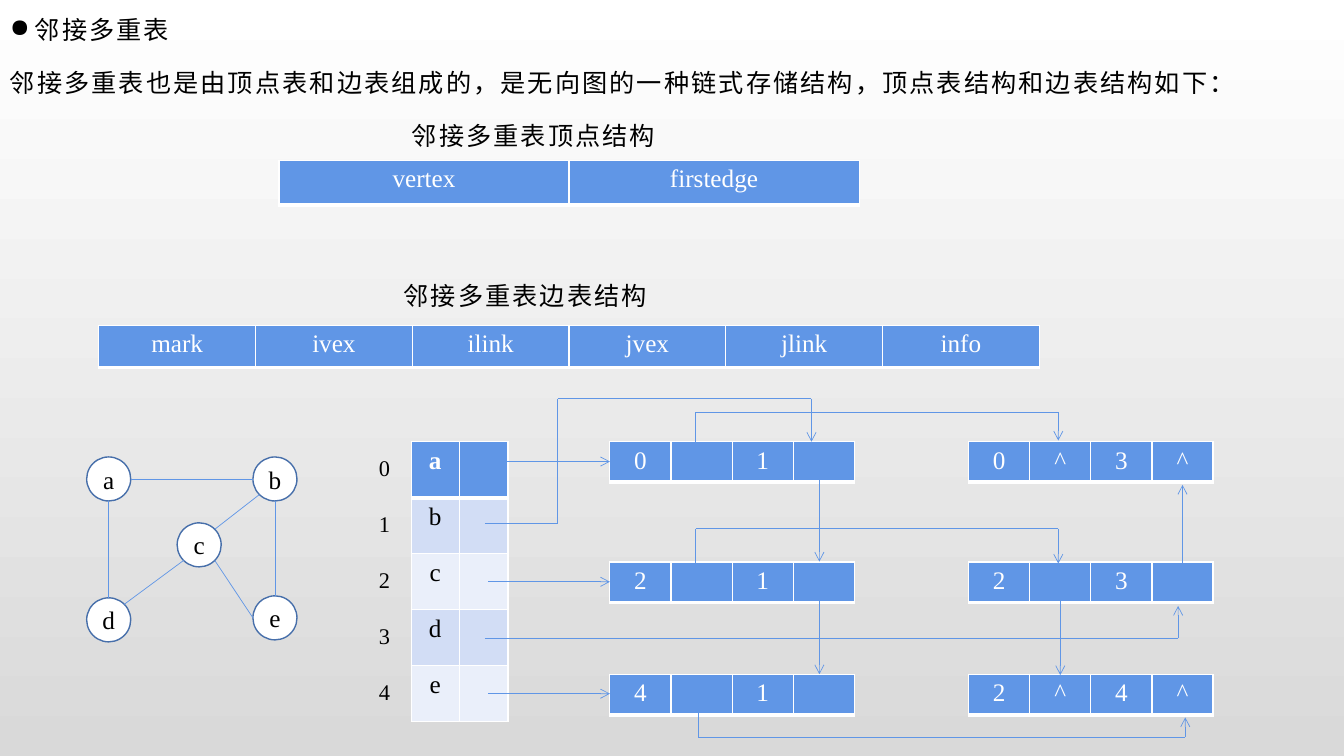
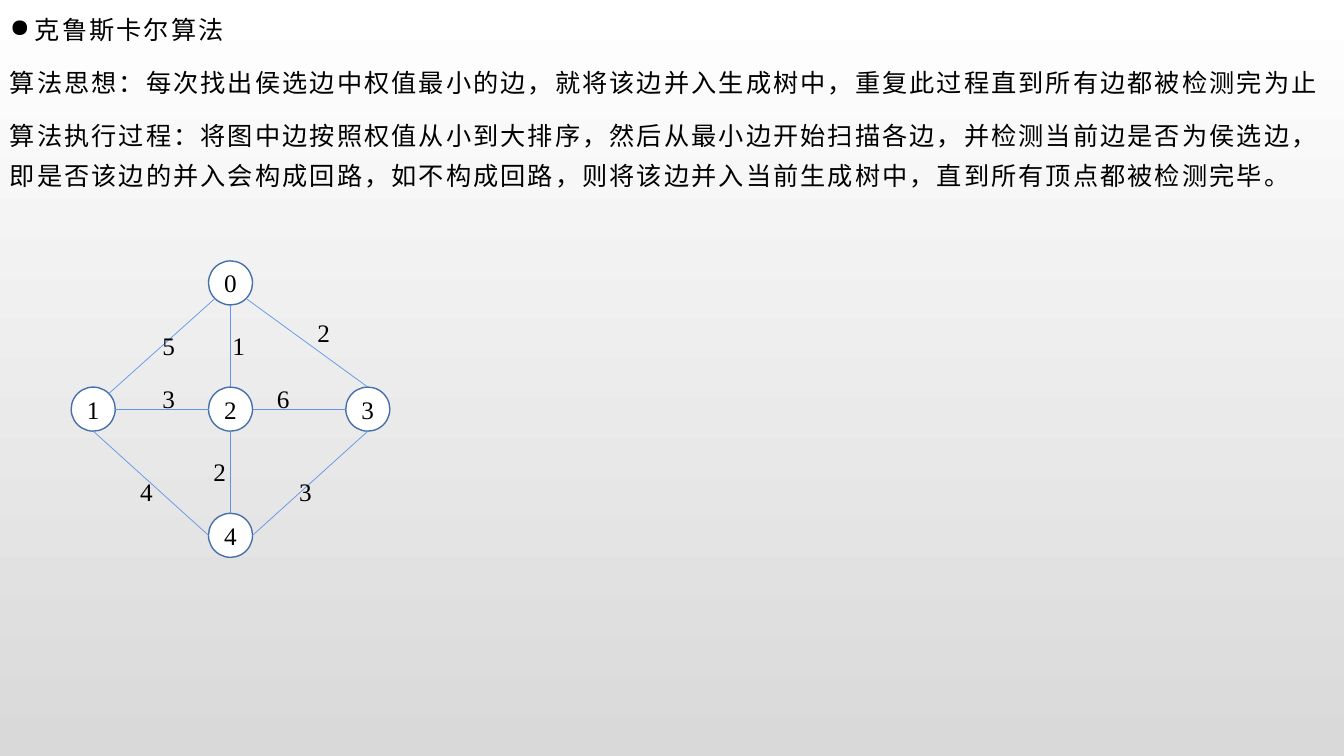
from math import sqrt
from lxml.etree import SubElement
from pptx import Presentation
from pptx.dml.color import RGBColor
from pptx.enum.shapes import MSO_CONNECTOR, MSO_SHAPE
from pptx.enum.text import MSO_ANCHOR, PP_ALIGN
from pptx.oxml.ns import qn
from pptx.util import Cm, Pt

FONT = "Times New Roman"
BLACK, WHITE = "000000", "FFFFFF"
BLUE, NODE_LINE = "6096E6", "476FAA"
BAND_DARK, BAND_LIGHT = "D2DDF5", "EAEFFA"
BACKDROP = (WHITE, "D9D9D9")
SLIDE_W, SLIDE_H = 33.87, 19.05
NODE_SIZE = 1.11

MULTILIST_TEXT = [
    "邻接多重表",
    "邻接多重表也是由顶点表和边表组成的，是无向图的一种链式存储结构，顶点表结构和边表结构如下：",
]
CAPTIONS = [
    ("邻接多重表顶点结构", 10.13, 2.69),
    ("邻接多重表边表结构", 9.92, 6.72),
]
STRUCTURES = [
    (["vertex", "firstedge"], 7.03, 4.04, 7.31, 1.13),
    (["mark", "ivex", "ilink", "jvex", "jlink", "info"], 2.49, 8.2, 3.95, 1.06),
]
LETTER_NODES = {
    "a": (2.74, 12.07), "b": (6.93, 12.07), "c": (5.02, 13.73),
    "d": (2.74, 15.62), "e": (6.93, 15.57),
}
LETTER_EDGES = [
    ("a", "R", "b", "L"), ("a", "B", "d", "T"), ("b", "BL", "c", "TR"),
    ("c", "BL", "d", "TR"), ("b", "B", "e", "T"), ("c", "BR", "e", "L"),
]
VERTEX_LEFT, VERTEX_TOP, VERTEX_ROW = 10.36, 11.13, 1.41
EDGE_LEFTS, EDGE_TOPS = (15.37, 24.41), (11.13, 14.16, 16.99)
EDGE_RECORDS = [
    (["0", "", "1", ""], ["0", "^", "3", "^"]),
    (["2", "", "1", ""], ["2", "", "3", ""]),
    (["4", "", "1", ""], ["2", "^", "4", "^"]),
]
LINK_ROUTES = [
    [(12.3, 11.63), (15.37, 11.63)],
    [(12.3, 14.66), (15.37, 14.66)],
    [(12.3, 17.48), (15.37, 17.48)],
    [(12.22, 13.2), (14.05, 13.2), (14.05, 10.05), (20.45, 10.05), (20.45, 11.13)],
    [(17.53, 11.43), (17.53, 10.39), (26.67, 10.39), (26.67, 11.1)],
    [(20.65, 11.71), (20.65, 14.15)],
    [(17.53, 14.6), (17.53, 13.32), (26.67, 13.32), (26.67, 14.2)],
    [(29.8, 14.66), (29.8, 12.22)],
    [(12.22, 16.08), (29.69, 16.08), (29.69, 15.27)],
    [(20.65, 14.71), (20.65, 16.99)],
    [(26.72, 14.81), (26.72, 17.01)],
    [(17.6, 17.63), (17.6, 18.57), (29.87, 18.57), (29.87, 18.08)],
]

KRUSKAL_TEXT = [
    "克鲁斯卡尔算法",
    "算法思想：每次找出侯选边中权值最小的边，就将该边并入生成树中，重复此过程直到所有边都被检测完为止",
    "算法执行过程：将图中边按照权值从小到大排序，然后从最小边开始扫描各边，并检测当前边是否为侯选边，"
    "即是否该边的并入会构成回路，如不构成回路，则将该边并入当前生成树中，直到所有顶点都被检测完毕。",
]
NUMBER_GRID = {"0": (1, 0), "1": (0, 1), "2": (1, 1), "3": (2, 1), "4": (1, 2)}
NUMBER_NODES = {
    name: (2.35 + 3.46 * col, 7.13 + 3.18 * row)
    for name, (col, row) in NUMBER_GRID.items()
}
NUMBER_EDGES = [
    ("0", "BL", "1", "TR"), ("0", "B", "2", "T"), ("0", "BR", "3", "T"),
    ("2", "L", "1", "R"), ("3", "L", "2", "R"), ("4", "L", "1", "B"),
    ("4", "T", "2", "B"), ("3", "B", "4", "R"),
]
WEIGHTS = [
    ("3", 3.84, 9.53), ("1", 5.61, 8.2), ("2", 7.75, 7.87), ("5", 3.84, 8.2),
    ("6", 6.73, 9.53), ("4", 3.28, 11.89), ("2", 5.13, 11.38), ("3", 7.29, 11.89),
]


def rgb(color):
    return RGBColor.from_string(color)


def add_run(paragraph, text, size=18, color=BLACK, bold=False):
    run = paragraph.add_run()
    run.text = text
    run.font.name, run.font.size, run.font.bold = FONT, Pt(size), bold
    run.font.color.rgb = rgb(color)
    return run


def add_textbox(slide, left, top, width, height):
    frame = slide.shapes.add_textbox(Cm(left), Cm(top), Cm(width), Cm(height)).text_frame
    frame.word_wrap = True
    return frame


def add_prose(slide, texts, left, top, width, height, bullet=False):
    frame = add_textbox(slide, left, top, width, height)
    for index, text in enumerate(texts):
        paragraph = frame.add_paragraph() if index else frame.paragraphs[0]
        if bullet and index == 0:
            properties = paragraph._p.get_or_add_pPr()
            properties.set("marL", str(Cm(0.63)))
            properties.set("indent", str(-Cm(0.63)))
            SubElement(properties, qn("a:buChar")).set("char", "●")
        paragraph.line_spacing = 1.3
        paragraph.space_after = Pt(10)
        letters = add_run(paragraph, text)._r.get_or_add_rPr()
        letters.set("lang", "zh-CN")
        letters.set("spc", "150")


def add_label(slide, text, left, top, width, height, size=18):
    add_run(add_textbox(slide, left, top, width, height).paragraphs[0], text, size)


def add_line(slide, start, end, arrow=False):
    line = slide.shapes.add_connector(
        MSO_CONNECTOR.STRAIGHT, *(Cm(value) for value in (*start, *end)))
    line.line.color.rgb = rgb(BLUE)
    line.line.width = Pt(0.5)
    if arrow:
        SubElement(line.line._get_or_add_ln(), qn("a:tailEnd")).set("type", "arrow")
    SubElement(line._element.spPr, qn("a:effectLst"))


def add_route(slide, points):
    for index in range(1, len(points)):
        add_line(slide, points[index - 1], points[index], index == len(points) - 1)


def node_site(center, side):
    reach = NODE_SIZE / 2 / sqrt(len(side))
    across = ("R" in side) - ("L" in side)
    down = ("B" in side) - ("T" in side)
    return center[0] + reach * across, center[1] + reach * down


def add_graph(slide, nodes, edges):
    for name, (x, y) in nodes.items():
        node = slide.shapes.add_shape(
            MSO_SHAPE.OVAL, Cm(x - NODE_SIZE / 2), Cm(y - NODE_SIZE / 2),
            Cm(NODE_SIZE), Cm(NODE_SIZE))
        node.shadow.inherit = False
        node.fill.solid()
        node.fill.fore_color.rgb = rgb(WHITE)
        node.line.color.rgb = rgb(NODE_LINE)
        node.line.width = Pt(1)
        frame = node.text_frame
        frame.margin_left = frame.margin_right = 0
        frame.margin_top = frame.margin_bottom = 0
        frame.vertical_anchor = MSO_ANCHOR.MIDDLE
        frame.paragraphs[0].alignment = PP_ALIGN.CENTER
        add_run(frame.paragraphs[0], name)
    for first, first_side, second, second_side in edges:
        add_line(slide, node_site(nodes[first], first_side),
                 node_site(nodes[second], second_side))


def style_cell(cell, text, fill, color, bottom, bold):
    properties = cell._tc.get_or_add_tcPr()
    for side, width in (("L", 1), ("R", 1), ("T", 1), ("B", bottom)):
        border = SubElement(properties, qn(f"a:ln{side}"))
        border.set("w", str(Pt(width)))
        SubElement(SubElement(border, qn("a:solidFill")), qn("a:srgbClr")).set("val", WHITE)
    cell.fill.solid()
    cell.fill.fore_color.rgb = rgb(fill)
    if text:
        paragraph = cell.text_frame.paragraphs[0]
        paragraph.alignment = PP_ALIGN.CENTER
        add_run(paragraph, text, color=color, bold=bold)


def add_grid(slide, rows, left, top, col_width, row_height, bold_head=False):
    columns = len(rows[0])
    table = slide.shapes.add_table(
        len(rows), columns, Cm(left), Cm(top),
        Cm(col_width * columns), Cm(row_height * len(rows))).table
    for column in table.columns:
        column.width = Cm(col_width)
    for r, texts in enumerate(rows):
        table.rows[r].height = Cm(row_height)
        if r == 0:
            look = (BLUE, WHITE, 3, bold_head)
        else:
            look = (BAND_DARK if r % 2 else BAND_LIGHT, BLACK, 1, False)
        for c, text in enumerate(texts):
            style_cell(table.cell(r, c), text, *look)


def add_page(prs, texts):
    slide = prs.slides.add_slide(prs.slide_layouts[6])
    add_prose(slide, texts, 0, 0, SLIDE_W, 5.2 if len(texts) > 2 else 2.6, bullet=True)
    return slide


def build_multilist(prs):
    slide = add_page(prs, MULTILIST_TEXT)
    for text, left, top in CAPTIONS:
        add_prose(slide, [text], left, top, 9, 1.3)
    for fields, *place in STRUCTURES:
        add_grid(slide, [fields], *place)
    add_graph(slide, LETTER_NODES, LETTER_EDGES)
    add_grid(slide, [(name, "") for name in LETTER_NODES],
             VERTEX_LEFT, VERTEX_TOP, 1.22, VERTEX_ROW, bold_head=True)
    for index in range(len(LETTER_NODES)):
        add_label(slide, str(index), 9.3, VERTEX_TOP + 0.2 + VERTEX_ROW * index, 0.82, 0.94, 16)
    for top, records in zip(EDGE_TOPS, EDGE_RECORDS):
        for left, record in zip(EDGE_LEFTS, records):
            add_grid(slide, [record], left, top, 1.54, 1.02)
    for route in LINK_ROUTES:
        add_route(slide, route)


def build_kruskal(prs):
    slide = add_page(prs, KRUSKAL_TEXT)
    add_graph(slide, NUMBER_NODES, NUMBER_EDGES)
    for weight, left, top in WEIGHTS:
        add_label(slide, weight, left, top, 1.07, 1.02)


def main():
    prs = Presentation()
    prs.slide_width, prs.slide_height = Cm(SLIDE_W), Cm(SLIDE_H)
    backdrop = prs.slide_master.background.fill
    backdrop.gradient()
    backdrop.gradient_angle = 270
    for stop, color, position in zip(backdrop.gradient_stops, BACKDROP, (0, 1)):
        stop.color.rgb = rgb(color)
        stop.position = position
    build_multilist(prs)
    build_kruskal(prs)
    prs.save("out.pptx")


if __name__ == "__main__":
    main()
